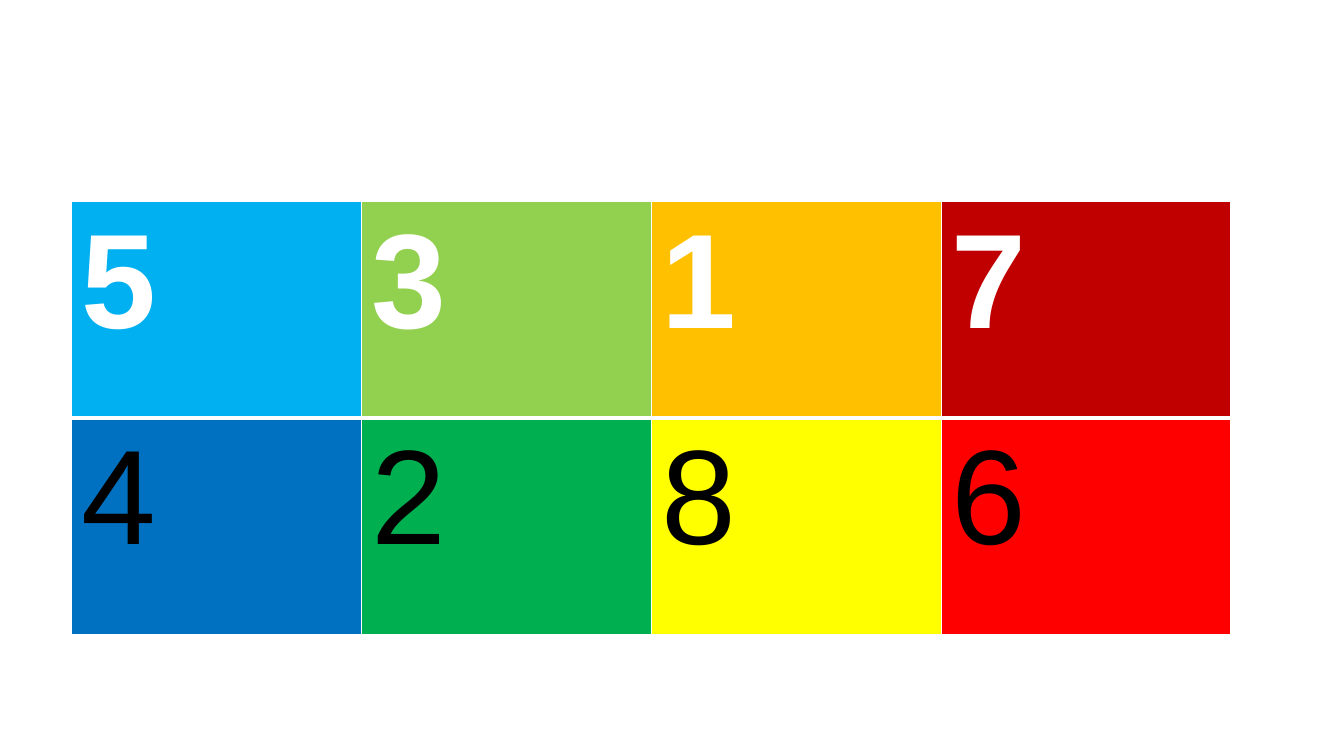
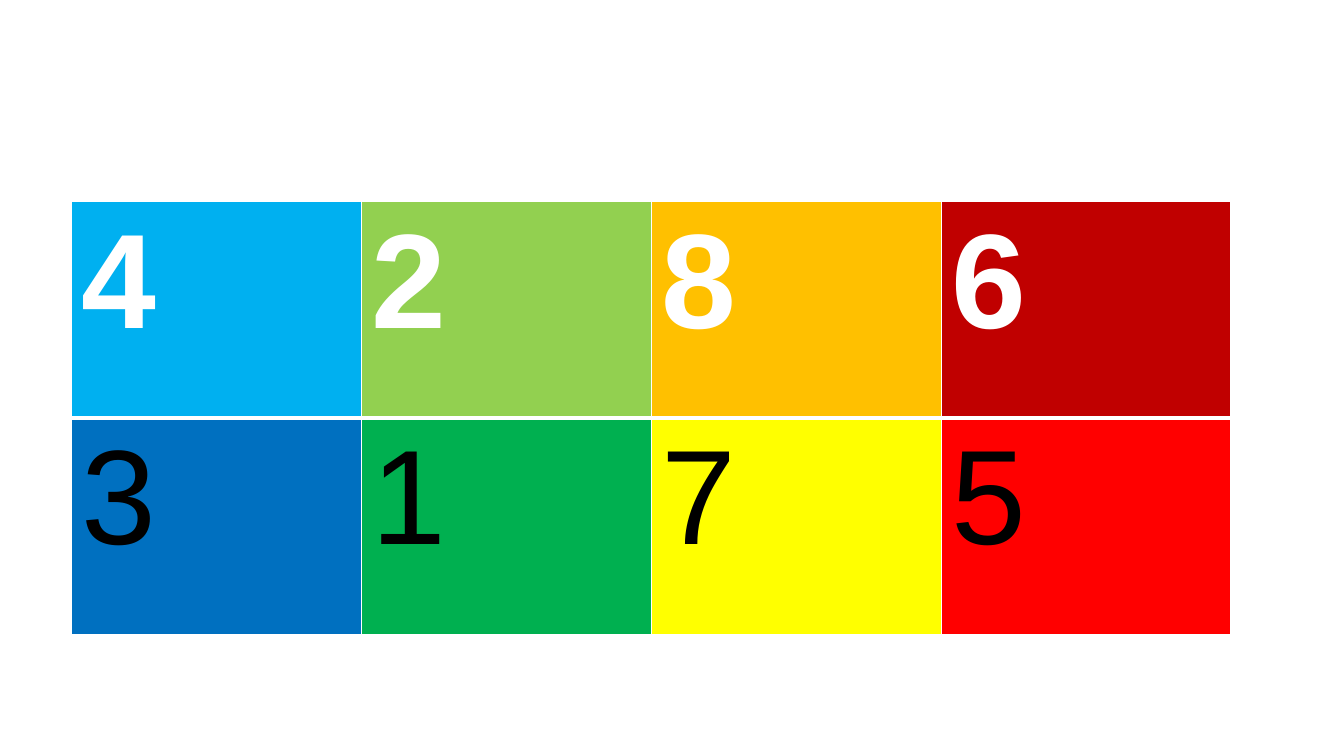
from dataclasses import dataclass

from lxml.etree import SubElement
from pptx import Presentation
from pptx.dml.color import RGBColor
from pptx.oxml.ns import qn
from pptx.slide import Slide
from pptx.table import _Cell as Cell
from pptx.util import Inches, Pt

COLOURS = {
    "white": "FFFFFF",
    "black": "000000",
    "sky": "00B0F0",
    "lime": "92D050",
    "amber": "FFC000",
    "maroon": "C00000",
    "blue": "0070C0",
    "green": "00B050",
    "yellow": "FFFF00",
    "red": "FF0000",
}
FONT = "Arial"
DIGIT_SIZE = 96
GRID_LEFT, GRID_TOP = 0.71, 2
GRID_WIDTH, GRID_HEIGHT = 11.5, 4.3
BLANK_LAYOUT = 6


@dataclass(frozen=True)
class RowStyle:
    fills: tuple[str, ...]
    ink: str
    bold: bool
    top_border: float
    bottom_border: float


ROW_STYLES = (
    RowStyle(("sky", "lime", "amber", "maroon"), "white", True, 1, 3),
    RowStyle(("blue", "green", "yellow", "red"), "black", False, 3, 1),
)
SLIDE_DIGITS = (
    ("5317", "4286"),
    ("4286", "3175"),
)


def rgb(colour: str) -> RGBColor:
    return RGBColor.from_string(COLOURS[colour])


def add_borders(cell: Cell, style: RowStyle) -> None:
    properties = cell._tc.get_or_add_tcPr()
    widths = {"L": 1, "R": 1, "T": style.top_border, "B": style.bottom_border}
    for side, width in widths.items():
        border = SubElement(properties, qn(f"a:ln{side}"), w=str(Pt(width)))
        solid = SubElement(border, qn("a:solidFill"))
        SubElement(solid, qn("a:srgbClr"), val=COLOURS["white"])


def format_cell(cell: Cell, digit: str, fill: str, style: RowStyle) -> None:
    add_borders(cell, style)
    cell.fill.solid()
    cell.fill.fore_color.rgb = rgb(fill)
    run = cell.text_frame.paragraphs[0].add_run()
    run.text = digit
    run.font.name = FONT
    run.font.size = Pt(DIGIT_SIZE)
    run.font.bold = style.bold
    run.font.color.rgb = rgb(style.ink)


def add_digit_grid(slide: Slide, digit_rows: tuple[str, ...]) -> None:
    grid = slide.shapes.add_table(
        len(ROW_STYLES), len(ROW_STYLES[0].fills),
        Inches(GRID_LEFT), Inches(GRID_TOP),
        Inches(GRID_WIDTH), Inches(GRID_HEIGHT),
    ).table
    for row, digits, style in zip(grid.rows, digit_rows, ROW_STYLES):
        for cell, digit, fill in zip(row.cells, digits, style.fills):
            format_cell(cell, digit, fill, style)


def main() -> None:
    deck = Presentation()
    deck.slide_width, deck.slide_height = Inches(13.33), Inches(7.5)
    for digit_rows in SLIDE_DIGITS:
        slide = deck.slides.add_slide(deck.slide_layouts[BLANK_LAYOUT])
        add_digit_grid(slide, digit_rows)
    deck.save("out.pptx")


main()
